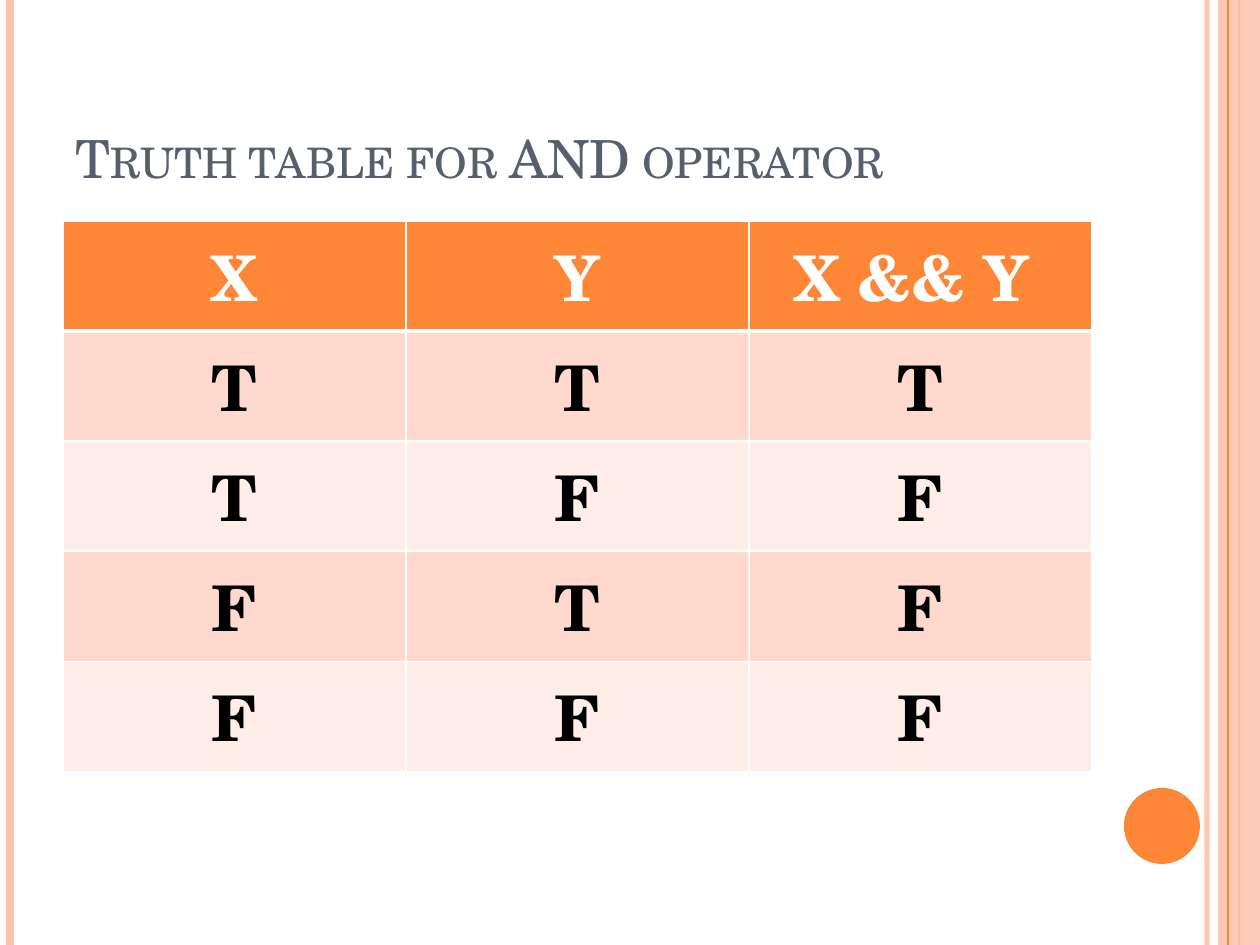
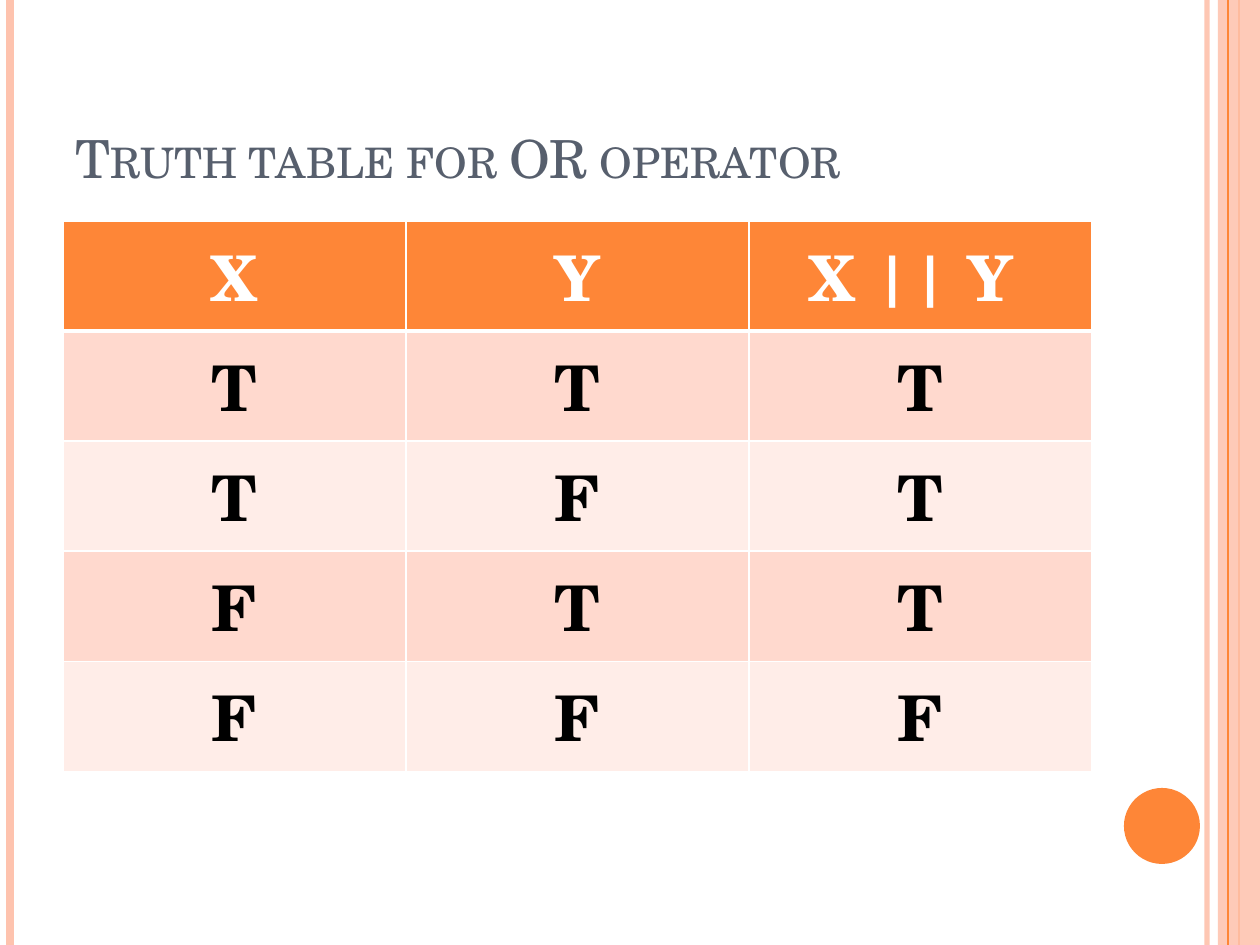
from pptx import Presentation
from pptx.dml.color import RGBColor
from pptx.enum.shapes import MSO_CONNECTOR, MSO_SHAPE
from pptx.enum.text import MSO_ANCHOR, MSO_AUTO_SIZE, PP_ALIGN
from pptx.oxml import parse_xml
from pptx.oxml.ns import nsdecls, qn
from pptx.oxml.xmlchemy import OxmlElement
from pptx.util import Pt

PX = 914400 / 126
SLIDE_W, SLIDE_H = 1260, 945
TITLE_BOX = (63, 38, 1029, 157)
TABLE_BOX = (63, 221, 1029, 441)

FONT = "TeX Gyre Schola"
ORANGE = RGBColor(0xFE, 0x86, 0x37)
PEACH = RGBColor(0xFE, 0xC3, 0xAE)
SLATE = RGBColor(0x57, 0x5F, 0x6D)
BAND_DARK = RGBColor(0xFF, 0xD9, 0xCE)
BAND_LIGHT = RGBColor(0xFF, 0xED, 0xE8)
WHITE = RGBColor(0xFF, 0xFF, 0xFF)
BLACK = RGBColor(0, 0, 0)

# Title, heading of the result column, results for TT, TF, FT, FF
OPERATORS = [
    ("Truth table for AND operator", "X && Y ", "TFFF"),
    ("Truth table for OR operator", "X || Y ", "TTTF"),
]
INPUTS = ["TT", "TF", "FT", "FF"]


def emu(*lengths):
    return [round(length * PX) for length in lengths]


def set_opacity(part, percent):
    for color in part._element.spPr.iter(qn("a:srgbClr")):
        alpha = OxmlElement("a:alpha")
        alpha.set("val", str(percent * 1000))
        color.append(alpha)


def style_run(run, size, color, bold=False):
    run.font.name = FONT
    run.font.size = Pt(size)
    run.font.color.rgb = color
    run.font.bold = bold


def add_stripe(slide, x, color, weight, opacity=100):
    stripe = slide.shapes.add_connector(
        MSO_CONNECTOR.STRAIGHT, *emu(x, 0, x, SLIDE_H))
    stripe.line.color.rgb = color
    stripe.line.width = Pt(weight)
    stripe._element.spPr.append(OxmlElement("a:effectLst"))
    if opacity < 100:
        set_opacity(stripe, opacity)


def add_solid(slide, kind, box, color):
    solid = slide.shapes.add_shape(kind, *emu(*box))
    solid.shadow.inherit = False
    solid.fill.solid()
    solid.fill.fore_color.rgb = color
    solid.line.fill.background()
    return solid


def add_frame(slide):
    # Stripes along both edges, band on the right, and the disc
    add_stripe(slide, 1207, PEACH, 3, 93)
    add_stripe(slide, 10, PEACH, 4.5)
    add_stripe(slide, 1239, ORANGE, 1.5)
    band = add_solid(slide, MSO_SHAPE.RECTANGLE, (1218, 0, 42, SLIDE_H), PEACH)
    set_opacity(band, 87)
    add_stripe(slide, 1228, ORANGE, 0.75)
    add_solid(slide, MSO_SHAPE.OVAL, (1124, 788, 76, 76), ORANGE)


def set_title(slide, text, box):
    title = slide.shapes.title
    title.left, title.top, title.width, title.height = emu(*box)
    frame = title.text_frame
    frame.text = text
    frame.word_wrap = True
    frame.auto_size = MSO_AUTO_SIZE.NONE
    frame.vertical_anchor = MSO_ANCHOR.BOTTOM
    heading = frame.paragraphs[0]
    heading.alignment = PP_ALIGN.LEFT
    style_run(heading.runs[0], 30, SLATE)
    heading.runs[0].font._element.set("cap", "small")


def set_borders(cell, top, bottom):
    weights = {"lnL": 1, "lnR": 1, "lnT": top, "lnB": bottom}
    for position, (side, weight) in enumerate(weights.items()):
        border = parse_xml(
            f'<a:{side} {nsdecls("a")} w="{Pt(weight)}"><a:solidFill>'
            f'<a:srgbClr val="{WHITE}"/></a:solidFill></a:{side}>')
        cell._tc.get_or_add_tcPr().insert(position, border)


def add_truth_table(slide, result_heading, results, box):
    rows = [["X", "Y", result_heading]]
    rows += [[*pair, result] for pair, result in zip(INPUTS, results)]
    table = slide.shapes.add_table(len(rows), len(rows[0]), *emu(*box)).table
    for r, values in enumerate(rows):
        is_header = r == 0
        band = ORANGE if is_header else BAND_DARK if r % 2 else BAND_LIGHT
        for c, value in enumerate(values):
            cell = table.cell(r, c)
            cell.fill.solid()
            cell.fill.fore_color.rgb = band
            set_borders(cell, 3 if r == 1 else 1, 3 if is_header else 1)
            cell.text_frame.text = value
            entry = cell.text_frame.paragraphs[0]
            entry.alignment = PP_ALIGN.CENTER
            style_run(entry.runs[0], 36, WHITE if is_header else BLACK, True)


def add_operator_slide(deck, title, result_heading, results):
    slide = deck.slides.add_slide(deck.slide_layouts[5])
    add_frame(slide)
    set_title(slide, title, TITLE_BOX)
    add_truth_table(slide, result_heading, results, TABLE_BOX)


def main():
    deck = Presentation()
    deck.slide_width, deck.slide_height = emu(SLIDE_W, SLIDE_H)
    for operator in OPERATORS:
        add_operator_slide(deck, *operator)
    deck.save("out.pptx")


if __name__ == "__main__":
    main()
